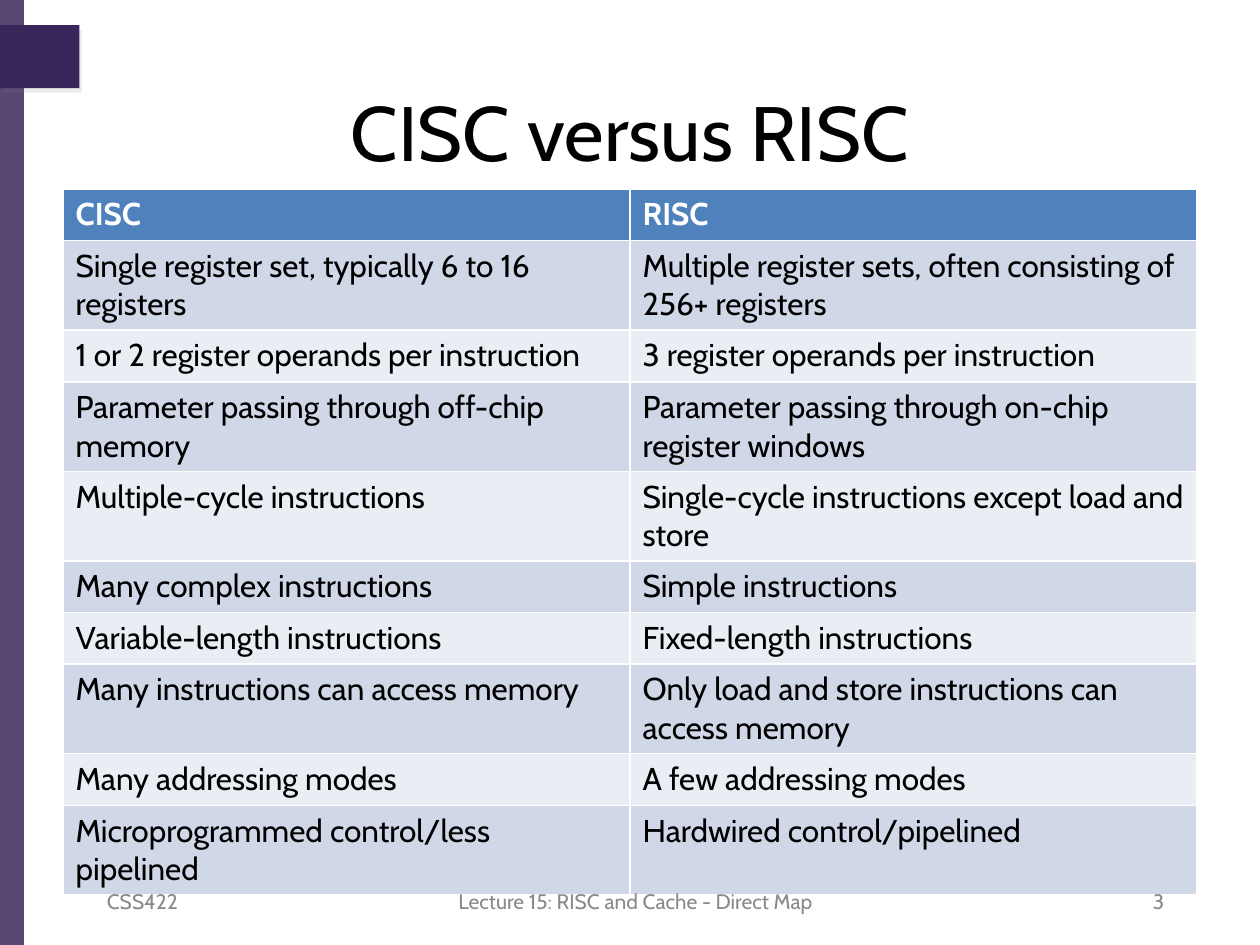
"""Build the CISC versus RISC comparison slide."""
import pptx
import pptx.dml.color
import pptx.enum.shapes
import pptx.enum.text
import pptx.oxml
import pptx.oxml.ns
import pptx.util
from lxml import etree

Inches = pptx.util.Inches
RGBColor = pptx.dml.color.RGBColor
Align = pptx.enum.text.PP_ALIGN
Anchor = pptx.enum.text.MSO_ANCHOR

PURPLE = RGBColor(0x39, 0x27, 0x5B)
BLUE = RGBColor(0x4F, 0x81, 0xBD)
BANDS = (RGBColor(0xD0, 0xD8, 0xE8), RGBColor(0xE9, 0xED, 0xF4))
BLACK = RGBColor(0, 0, 0)
WHITE = RGBColor(255, 255, 255)
GRAY = RGBColor(0x89, 0x89, 0x89)

ROWS = (
    ("CISC", "RISC"),
    ("Single register set, typically 6 to 16 registers",
     "Multiple register sets, often consisting of 256+ registers"),
    ("1 or 2 register operands per instruction",
     "3 register operands per instruction"),
    ("Parameter passing through off-chip memory",
     "Parameter passing through on-chip register windows"),
    ("Multiple-cycle instructions",
     "Single-cycle instructions except load and store"),
    ("Many complex instructions", "Simple instructions"),
    ("Variable-length instructions", "Fixed-length instructions"),
    ("Many instructions can access memory",
     "Only load and store instructions can access memory"),
    ("Many addressing modes", "A few addressing modes"),
    ("Microprogrammed control/less pipelined",
     "Hardwired control/pipelined"),
)
FOOTER = (
    (0.75, 2.33, "CSS422", Align.LEFT),
    (3.46, 3.17, "Lecture 15: RISC and Cache - Direct Map", Align.CENTER),
    (7.01, 2.33, "3", Align.RIGHT),
)


class Deck:
    """Holds the slide and its font."""

    def __init__(self, font):
        self.font = font
        self.file = pptx.Presentation()
        self.file.slide_width, self.file.slide_height = Inches(10), Inches(7.5)
        self.slide = self.file.slides.add_slide(self.file.slide_layouts[5])

    def label(self, frame, text, size, color, align=Align.LEFT, bold=False):
        """Put styled text in a frame."""
        frame.text = text
        line = frame.paragraphs[0]
        line.alignment = align
        line.font.name = self.font
        line.font.size = pptx.util.Pt(size)
        line.font.bold = bold
        line.font.color.rgb = color

    def title(self, text, *box):
        """Place the title."""
        shape = self.slide.shapes.title
        shape.left, shape.top, shape.width, shape.height = map(Inches, box)
        shape.text_frame.vertical_anchor = Anchor.MIDDLE
        self.label(shape.text_frame, text, 44, BLACK, Align.CENTER)

    def block(self, color, *box):
        """Add a plain rectangle."""
        kind = pptx.enum.shapes.MSO_SHAPE.RECTANGLE
        shape = self.slide.shapes.add_shape(kind, *map(Inches, box))
        shape.shadow.inherit = False
        shape.fill.solid()
        shape.fill.fore_color.rgb = color
        shape.line.fill.background()
        return shape

    def fade(self, shape, alpha):
        """Make a fill partly clear, alpha in percent."""
        tag = pptx.oxml.ns.qn("a:srgbClr")
        color = next(shape._element.spPr.iter(tag))
        etree.SubElement(color, pptx.oxml.ns.qn("a:alpha"), val=str(alpha * 1000))

    def shade(self, shape):
        """Give a shape a soft gray shadow."""
        shadow = pptx.oxml.parse_xml(
            f'<a:outerShdw {pptx.oxml.ns.nsdecls("a")} blurRad="0" '
            'dist="38100" dir="3600000" algn="tl" rotWithShape="0">'
            '<a:srgbClr val="808080"><a:alpha val="15000"/></a:srgbClr>'
            '</a:outerShdw>')
        shape._element.spPr.find(pptx.oxml.ns.qn("a:effectLst")).append(shadow)

    def table(self, rows, left, top, width, step):
        """Add a banded table with a header row."""
        box = map(Inches, (left, top, width, step * len(rows)))
        grid = self.slide.shapes.add_table(len(rows), len(rows[0]), *box).table
        for r, row in enumerate(rows):
            head = r == 0
            for c, text in enumerate(row):
                cell = grid.cell(r, c)
                cell.fill.solid()
                cell.fill.fore_color.rgb = BLUE if head else BANDS[(r - 1) % 2]
                self.label(cell.text_frame, text, 18,
                           WHITE if head else BLACK, bold=head)

    def note(self, text, align, *box):
        """Add a small footer text."""
        frame = self.slide.shapes.add_textbox(*map(Inches, box)).text_frame
        frame.word_wrap = True
        frame.vertical_anchor = Anchor.MIDDLE
        self.label(frame, text, 12, GRAY, align)


def main():
    deck = Deck("Cabin")
    deck.fade(deck.block(PURPLE, 0, 0, 0.19, 7.5), 85)
    deck.shade(deck.block(PURPLE, 0, 0.2, 0.63, 0.5))
    deck.title("CISC versus RISC", 0.5, 0.58, 9, 0.92)
    deck.table(ROWS, 0.5, 1.5, 9, 0.41)
    for left, width, text, align in FOOTER:
        deck.note(text, align, left, 6.95, width, 0.4)
    deck.file.save("out.pptx")


if __name__ == "__main__":
    main()
